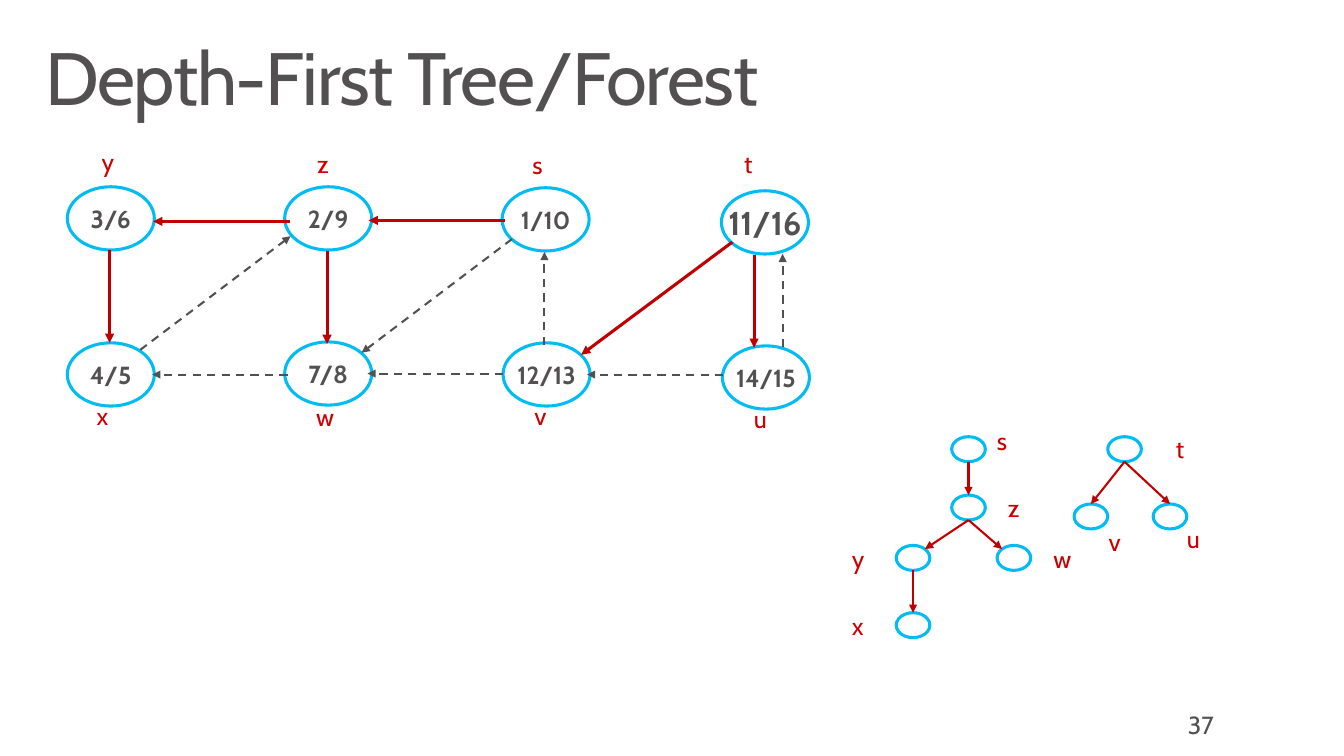
from lxml import etree
from pptx import Presentation
from pptx.dml.color import RGBColor
from pptx.enum import dml, shapes, text
from pptx.oxml.ns import qn
from pptx.util import Pt

GREY, RED, LABEL_RED, BLUE, WHITE = "525051", "C00000", "CC0000", "00BCF2", "FFFFFF"

deck = Presentation()
deck.slide_width, deck.slide_height = Pt(979.2), Pt(550.8)
slide = deck.slides.add_slide(deck.slide_layouts[6])


def write(shape, words, size, color, inset=(7.2, 3.6), wrap=False):
    frame = shape.text_frame
    frame.word_wrap = wrap
    frame.margin_left = frame.margin_right = Pt(inset[0])
    frame.margin_top = frame.margin_bottom = Pt(inset[1])
    run = frame.paragraphs[0].add_run()
    run.text = words
    run.font.size = Pt(size)
    run.font.name = "Cabin"
    run.font.color.rgb = RGBColor.from_string(color)
    return run


def arrow(x1, y1, x2, y2, color, width, dashed=False):
    edge = slide.shapes.add_connector(
        shapes.MSO_CONNECTOR.STRAIGHT, Pt(x1), Pt(y1), Pt(x2), Pt(y2))
    edge.line.color.rgb = RGBColor.from_string(color)
    edge.line.width = Pt(width)
    if dashed:
        edge.line.dash_style = dml.MSO_LINE.DASH
    etree.SubElement(edge.line._get_or_add_ln(), qn("a:tailEnd"), type="triangle")
    etree.SubElement(edge._element.spPr, qn("a:effectLst"))


title = slide.shapes.add_textbox(Pt(21.6), Pt(23), Pt(936), Pt(72))
heading = write(title, "Depth-First Tree/Forest", 54, GREY, (11.5, 7.2), True)
heading._r.get_or_add_rPr().set("spc", "-100")
title.text_frame.paragraphs[0].line_spacing = 0.9

page_number = slide.shapes.add_textbox(Pt(856.8), Pt(512.6), Pt(73.4), Pt(38.2))
write(page_number, "37", 18, GREY, (8.6, 4.3), True)

label_widths = {"y": 24.5, "z": 23.8, "s": 23.8, "t": 19.4,
                "x": 23.8, "w": 29.5, "v": 25.9, "u": 24.5}

graph_vertices = [
    ("y", "3/6", 18, 49, 136.1, 67, 103.7),
    ("z", "2/9", 18, 207.4, 136.1, 223.9, 105.1),
    ("s", "1/10", 18, 365.8, 136.8, 380.9, 105.8),
    ("t", "11/16", 24, 525.6, 139, 535, 105.1),
    ("x", "4/5", 18, 49, 249.8, 63.4, 288.7),
    ("w", "7/8", 18, 207.4, 249.1, 223.2, 289.4),
    ("v", "12/13", 18, 366.5, 249.8, 382.3, 288.7),
    ("u", "14/15", 18, 526.3, 252, 542.2, 290.9),
]
for name, times, size, left, top, label_left, label_top in graph_vertices:
    vertex = slide.shapes.add_shape(
        shapes.MSO_SHAPE.OVAL, Pt(left), Pt(top), Pt(63.4), Pt(46.1))
    vertex.shadow.inherit = False
    vertex.fill.background()
    vertex.line.color.rgb = RGBColor.from_string(BLUE)
    vertex.line.width = Pt(2.25)
    write(vertex, times, size, GREY).font.bold = True
    vertex.text_frame.vertical_anchor = text.MSO_ANCHOR.MIDDLE
    vertex.text_frame.paragraphs[0].alignment = text.PP_ALIGN.CENTER
    label = slide.shapes.add_textbox(
        Pt(label_left), Pt(label_top), Pt(label_widths[name]), Pt(28.8))
    write(label, name, 18, LABEL_RED)

tree_edges = [
    (79.9, 182.2, 79.9, 249.8),
    (238.3, 182.9, 238.3, 250.6),
    (211, 161.3, 111.6, 161.3),
    (367.9, 160.6, 268.6, 160.6),
    (549.4, 185.8, 549.4, 253.4),
    (533.5, 176.4, 423.4, 258.5),
]
other_edges = [
    (209.5, 272.9, 110.9, 272.9),
    (366.5, 272.2, 267.8, 272.2),
    (527, 272.9, 427.7, 272.9),
    (396.7, 251.3, 396.7, 183.6),
    (570.2, 252.7, 570.2, 185),
    (102.2, 254.9, 211.7, 172.1),
    (373, 174.2, 263.5, 257),
]
for ends in tree_edges:
    arrow(*ends, RED, 2.25)
for ends in other_edges:
    arrow(*ends, GREY, 1.5, True)

node_width, node_height = 24.5, 18.2
forest_nodes = {
    "s": (693.4, 318.2, 717.8, 306),
    "z": (693.4, 360.7, 725.8, 355),
    "y": (653, 397.4, 612, 391.7),
    "w": (726.5, 397.4, 758.9, 391.7),
    "x": (653, 446.4, 612, 440.6),
    "t": (807.1, 318.2, 848.2, 311.8),
    "v": (782.6, 367.2, 799.2, 379.4),
    "u": (840.2, 367.2, 856.1, 377.3),
}
for name, (left, top, label_left, label_top) in forest_nodes.items():
    node = slide.shapes.add_shape(
        shapes.MSO_SHAPE.OVAL, Pt(left), Pt(top), Pt(node_width), Pt(node_height))
    node.shadow.inherit = False
    node.fill.solid()
    node.fill.fore_color.rgb = RGBColor.from_string(WHITE)
    node.line.color.rgb = RGBColor.from_string(BLUE)
    node.line.width = Pt(2.25)
    label = slide.shapes.add_textbox(
        Pt(label_left), Pt(label_top), Pt(label_widths[name] + 2.9), Pt(31))
    write(label, name, 18, LABEL_RED, (8.6, 4.3))

forest_edges = [("s", "z", 0), ("z", "y", 0.71), ("z", "w", -0.71),
                ("y", "x", 0), ("t", "v", 0), ("t", "u", 0)]
for parent, child, side in forest_edges:
    parent_left, parent_top = forest_nodes[parent][:2]
    child_left, child_top = forest_nodes[child][:2]
    rise = 0.71 if side else 1
    arrow(parent_left + node_width / 2, parent_top + node_height,
          child_left + node_width / 2 * (1 + side),
          child_top + node_height / 2 * (1 - rise), RED, 1.5)

deck.save("out.pptx")
